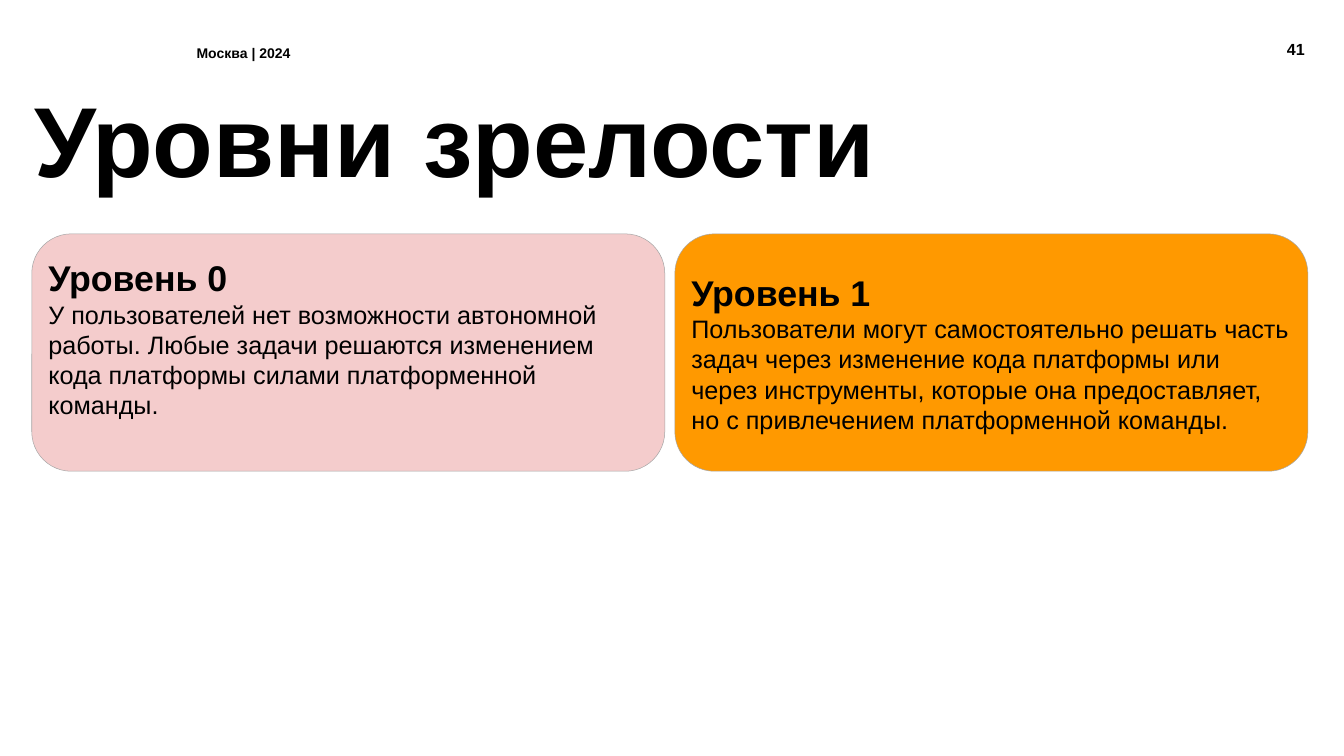
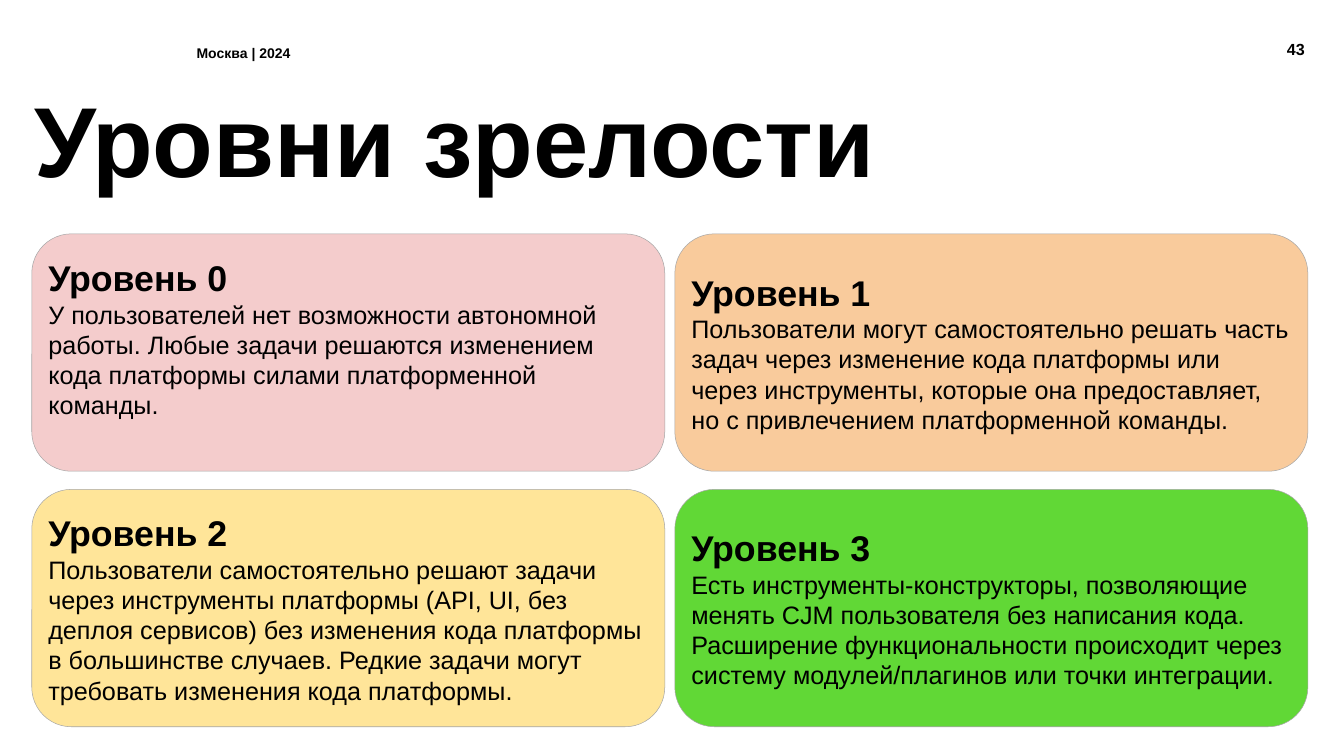
from pptx import Presentation
from pptx.dml.color import RGBColor
from pptx.enum.shapes import MSO_SHAPE
from pptx.enum.text import MSO_ANCHOR, PP_ALIGN
from pptx.util import Pt

COLORS = {
    "text": "000000",
    "background": "FFFFFF",
    "outline": "A7A7A7",
    "pink": "F4CCCC",
    "orange": "FF9900",
    "peach": "F9CB9C",
    "yellow": "FFE599",
    "green": "61D836",
}
FONT = "Arial"
TITLE = "Уровни зрелости"
EVENT = "Москва | 2024"

MARGIN_LEFT, GRID_TOP = 45.4, 334.1
CARD_WIDTH, CARD_HEIGHT = 904.3, 339.1
COLUMN_GAP, ROW_GAP = 14.4, 25.9
CARD_INSET = 7.2
EMPTY_LINE = 41.4

LEVELS = [
    "У пользователей нет возможности автономной работы. Любые задачи решаются "
    "изменением кода платформы силами платформенной команды.",
    "Пользователи могут самостоятельно решать часть задач через изменение кода "
    "платформы или через инструменты, которые она предоставляет, но с привлечением "
    "платформенной команды.",
    "Пользователи самостоятельно решают задачи через инструменты платформы "
    "(API, UI, без деплоя сервисов) без изменения кода платформы в большинстве "
    "случаев. Редкие задачи могут требовать изменения кода платформы.",
    "Есть инструменты-конструкторы, позволяющие менять CJM пользователя без "
    "написания кода. Расширение функциональности происходит через систему "
    "модулей/плагинов или точки интеграции.",
]

SLIDES = [
    ("41", ["pink", "orange"]),
    ("43", ["pink", "peach", "yellow", "green"]),
]


def color(name):
    return RGBColor.from_string(COLORS[name])


def add_run(paragraph, text, size, bold=True):
    run = paragraph.add_run()
    run.text = text
    run.font.name = FONT
    run.font.size = Pt(size)
    run.font.bold = bold
    run.font.color.rgb = color("text")


def set_frame(frame, inset, anchor):
    frame.word_wrap = True
    frame.vertical_anchor = anchor
    frame.margin_left = frame.margin_right = Pt(inset)
    frame.margin_top = frame.margin_bottom = Pt(inset)


def add_label(slide, text, box, size, inset, anchor=MSO_ANCHOR.TOP,
              align=PP_ALIGN.LEFT, line_spacing=1.0):
    label = slide.shapes.add_textbox(*(Pt(length) for length in box))
    set_frame(label.text_frame, inset, anchor)
    paragraph = label.text_frame.paragraphs[0]
    paragraph.alignment = align
    paragraph.line_spacing = line_spacing
    add_run(paragraph, text, size)


def add_level_card(slide, level, fill):
    row, column = divmod(level, 2)
    card = slide.shapes.add_shape(
        MSO_SHAPE.ROUNDED_RECTANGLE,
        Pt(MARGIN_LEFT + column * (CARD_WIDTH + COLUMN_GAP)),
        Pt(GRID_TOP + row * (CARD_HEIGHT + ROW_GAP)),
        Pt(CARD_WIDTH), Pt(CARD_HEIGHT))
    card.shadow.inherit = False
    card.fill.solid()
    card.fill.fore_color.rgb = color(fill)
    card.line.color.rgb = color("outline")
    card.line.width = Pt(0.75)

    frame = card.text_frame
    set_frame(frame, CARD_INSET, MSO_ANCHOR.MIDDLE)
    if level == 0:
        frame.margin_bottom = Pt(CARD_INSET + EMPTY_LINE)
    heading = frame.paragraphs[0]
    description = frame.add_paragraph()
    heading.alignment = description.alignment = PP_ALIGN.LEFT
    add_run(heading, f"Уровень {level}", 51)
    add_run(description, LEVELS[level], 36, bold=False)


def add_header(slide, number):
    add_label(slide, EVENT, (276.5, 59.8, 199.4, 32.4), 20, 4.3)
    add_label(slide, number, (1802.9, 51.8, 65.5, 36), 23, 4.3,
              MSO_ANCHOR.BOTTOM, PP_ALIGN.RIGHT)
    add_label(slide, TITLE, (MARGIN_LEFT, 127.4, 1712.9, 180.7), 142, 3.6,
              line_spacing=0.9)


def main():
    presentation = Presentation()
    presentation.slide_width = Pt(1920)
    presentation.slide_height = Pt(1080)
    for number, fills in SLIDES:
        slide = presentation.slides.add_slide(presentation.slide_layouts[6])
        slide.background.fill.solid()
        slide.background.fill.fore_color.rgb = color("background")
        add_header(slide, number)
        for level, fill in enumerate(fills):
            add_level_card(slide, level, fill)
    presentation.save("out.pptx")


if __name__ == "__main__":
    main()
